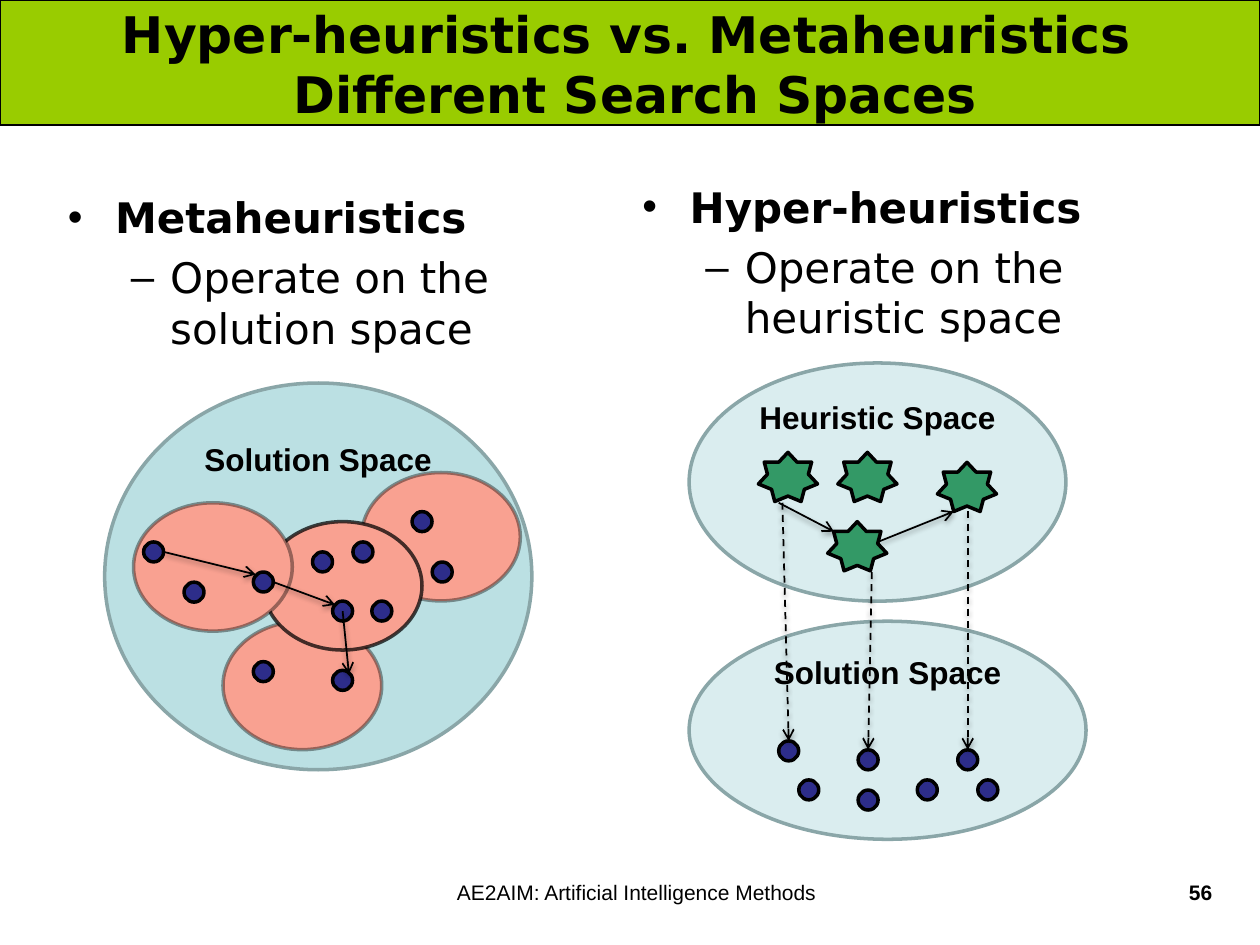
import pptx
import pptx.util
import pptx.dml.color
import pptx.enum.dml
import pptx.enum.shapes
import pptx.enum.text
import pptx.oxml
import pptx.oxml.ns
from lxml import etree

Pt = pptx.util.Pt
SHAPE = pptx.enum.shapes.MSO_SHAPE
ALIGN = pptx.enum.text.PP_ALIGN
ANCHOR = pptx.enum.text.MSO_ANCHOR
DASH = pptx.enum.dml.MSO_LINE.DASH
qn = pptx.oxml.ns.qn

COLORS = {
    "black": "000000",
    "banner": "99CC00",
    "space": "BBE0E3",
    "pale_space": "DAEDEF",
    "space_edge": "8AA6A8",
    "neighbourhood": "F9A191",
    "solution": "2D2D8A",
    "heuristic": "339966",
}


class SlideBuilder:
    heading_font = "DejaVu Sans"
    label_font = "Arial"
    dot_size = 11.4

    def __init__(self, page):
        self.page = page

    def color(self, name):
        return pptx.dml.color.RGBColor.from_string(COLORS[name])

    def style(self, para, size, font, bold, align):
        para.alignment = align
        for span in para.runs:
            span.font.size = Pt(size)
            span.font.name = font
            span.font.bold = bold
            span.font.color.rgb = self.color("black")

    def shape(self, kind, left, top, width, height, fill, edge="black", weight=2, opacity=100):
        shape = self.page.shapes.add_shape(kind, Pt(left), Pt(top), Pt(width), Pt(height))
        shape.shadow.inherit = False
        shape.fill.solid()
        shape.fill.fore_color.rgb = self.color(fill)
        shape.line.color.rgb = self.color(edge)
        shape.line.width = Pt(weight)
        if opacity < 100:
            tone = shape.line._get_or_add_ln().find(".//" + qn("a:srgbClr"))
            etree.SubElement(tone, qn("a:alpha"), val=str(opacity * 1000))
        return shape

    def space(self, label, left, top, width, height, fill):
        frame = self.shape(SHAPE.OVAL, left, top, width, height, fill, "space_edge").text_frame
        frame.margin_left = frame.margin_right = frame.margin_top = frame.margin_bottom = 0
        frame.vertical_anchor = ANCHOR.TOP
        frame.text = label
        self.style(frame.paragraphs[0], 18, self.label_font, True, ALIGN.CENTER)

    def neighbourhood(self, x, y, opacity):
        width, height = 90.7, 73.4
        self.shape(SHAPE.OVAL, x - width / 2, y - height / 2, width, height,
                   "neighbourhood", opacity=opacity)

    def solution(self, x, y):
        size = self.dot_size
        self.shape(SHAPE.OVAL, x - size / 2, y - size / 2, size, size, "solution")

    def heuristic(self, left, top):
        self.shape(SHAPE.STAR_7_POINT, left, top, 33.8, 28.1, "heuristic")

    def arrow(self, x1, y1, x2, y2, dashed=False):
        arrow = self.page.shapes.add_connector(
            pptx.enum.shapes.MSO_CONNECTOR.STRAIGHT, Pt(x1), Pt(y1), Pt(x2), Pt(y2))
        arrow.line.color.rgb = self.color("black")
        arrow.line.width = Pt(1)
        if dashed:
            arrow.line.dash_style = DASH
        etree.SubElement(arrow.line._get_or_add_ln(), qn("a:tailEnd"), type="arrow")
        effects = etree.SubElement(arrow._element.spPr, qn("a:effectLst"))
        shadow = etree.SubElement(effects, qn("a:outerShdw"), blurRad=str(Pt(3.1)),
                                  dist=str(Pt(1.6)), dir="5400000", rotWithShape="0")
        tone = etree.SubElement(shadow, qn("a:srgbClr"), val=COLORS["black"])
        etree.SubElement(tone, qn("a:alpha"), val="38000")

    def text(self, words, left, top, width, height, size, font, bold, align, anchor=ANCHOR.TOP):
        box = self.page.shapes.add_textbox(Pt(left), Pt(top), Pt(width), Pt(height))
        frame = box.text_frame
        frame.word_wrap = True
        frame.vertical_anchor = anchor
        frame.text = words
        for para in frame.paragraphs:
            self.style(para, size, font, bold, align)
        return frame

    def bullets(self, words, left, top, width, height):
        frame = self.text(words, left, top, width, height, 24, self.heading_font, False, ALIGN.LEFT)
        levels = [("•", 27, -27), ("–", 58.5, -22.5)]
        for level, (para, (mark, margin, indent)) in enumerate(zip(frame.paragraphs, levels)):
            para.level = level
            para.space_before = Pt(5.6 * level)
            properties = para._p.get_or_add_pPr()
            properties.set("marL", str(Pt(margin)))
            properties.set("indent", str(Pt(indent)))
            etree.SubElement(properties, qn("a:buFont"), typeface=self.label_font)
            etree.SubElement(properties, qn("a:buChar"), char=mark)
            para.runs[0].font.bold = level == 0


def main():
    deck = pptx.Presentation()
    deck.slide_width, deck.slide_height = Pt(720), Pt(540)
    builder = SlideBuilder(deck.slides.add_slide(deck.slide_layouts[6]))

    builder.shape(SHAPE.RECTANGLE, 0, 0, 720, 71.4, "banner", weight=0.75)
    builder.bullets("Metaheuristics\nOperate on the solution space", 31.7, 106, 330, 379)
    builder.bullets("Hyper-heuristics\nOperate on the heuristic space", 360, 100, 325, 380)
    builder.text("AE2AIM: Artificial Intelligence Methods ", 167, 499, 397, 37.5,
                 12, builder.label_font, False, ALIGN.CENTER)
    builder.text("56", 620.6, 499, 79.2, 37.5, 12, builder.label_font, True, ALIGN.RIGHT)
    builder.text("Hyper-heuristics vs. Metaheuristics \vDifferent Search Spaces", 20, 6, 686, 60.5,
                 28.8, builder.heading_font, True, ALIGN.CENTER, ANCHOR.MIDDLE)

    builder.space("Solution Space", 59.8, 218.9, 244.1, 221, "space")
    for x, y, opacity in [(172.8, 391.7, 38), (252, 306.7, 38), (195.8, 334.8, 73), (121.7, 324, 38)]:
        builder.neighbourhood(x, y, opacity)
    for x, y in [(195.8, 349.2), (87.8, 315.4), (150.5, 332.6), (184.3, 321.1),
                 (241.2, 298.1), (207.4, 315.4), (195.8, 388.8), (218.2, 349.2),
                 (110.9, 338.4), (150.5, 383.8), (252.7, 326.9)]:
        builder.solution(x, y)
    for ends in [(93.6, 315.4, 146.2, 328.3), (156.2, 332.6, 191.5, 345.6),
                 (195.8, 349.2, 199.4, 385.2)]:
        builder.arrow(*ends)

    builder.space("Solution Space", 393.8, 355, 226.8, 124.6, "pale_space")
    for x, y in [(553, 434.2), (529.9, 451.4), (462.2, 451.4), (564.5, 451.4),
                 (496.1, 434.2), (496.1, 457.2), (450.7, 429.1)]:
        builder.solution(x, y)
    builder.space("Heuristic Space", 393.8, 207.4, 215.3, 136.1, "pale_space")
    for left, top in [(433.4, 258.5), (478.8, 258.5), (535.7, 264.2), (473, 298.1)]:
        builder.heuristic(left, top)
    for ends in [(445, 287.3, 476.6, 303.8), (501.8, 309.6, 545, 292.3)]:
        builder.arrow(*ends)
    for ends in [(498.2, 326.9, 496.1, 428.4), (553, 292.3, 553, 428.4),
                 (447.1, 287.3, 450.7, 423.4)]:
        builder.arrow(*ends, dashed=True)

    deck.save("out.pptx")


if __name__ == "__main__":
    main()
